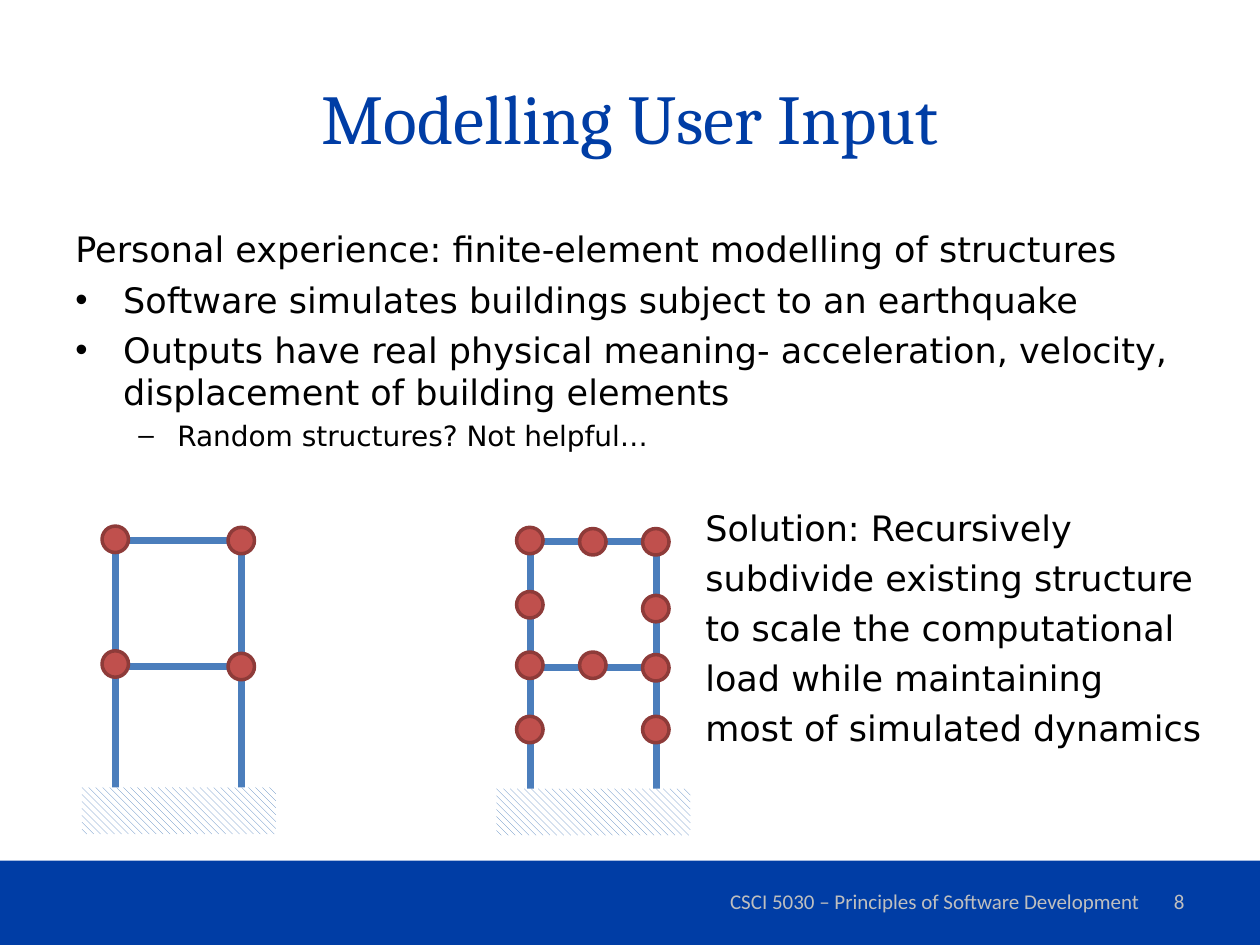
from pptx import Presentation
from pptx.dml.color import RGBColor
from pptx.enum.dml import MSO_PATTERN
from pptx.enum.shapes import MSO_CONNECTOR, MSO_SHAPE
from pptx.enum.text import MSO_ANCHOR, PP_ALIGN
from pptx.oxml.ns import qn
from pptx.util import Inches, Pt
from lxml import etree

BLUE = RGBColor(0x00, 0x3D, 0xA5)
BLACK = RGBColor(0x00, 0x00, 0x00)
WHITE = RGBColor(0xFF, 0xFF, 0xFF)
GREY = RGBColor(0xBF, 0xBF, 0xBF)
BEAM_BLUE = RGBColor(0x4B, 0x7E, 0xBC)
HATCH_BLUE = RGBColor(0x4F, 0x81, 0xBD)
NODE_RED = RGBColor(0xC0, 0x50, 0x4D)
NODE_EDGE = RGBColor(0x8E, 0x3B, 0x39)

BODY_FONT = "DejaVu Sans"
NODE_SIZE = 0.21
BAY = 1.0  # width of the frame and height of each storey


class SlideBuilder:
    def __init__(self, slide):
        self.slide = slide

    def bar(self, left, top, width, height, color):
        shape = self.slide.shapes.add_shape(
            MSO_SHAPE.RECTANGLE, Inches(left), Inches(top), Inches(width), Inches(height))
        shape.shadow.inherit = False
        shape.fill.solid()
        shape.fill.fore_color.rgb = color
        shape.line.fill.background()

    def text_box(self, left, top, width, height, anchor=MSO_ANCHOR.TOP):
        box = self.slide.shapes.add_textbox(
            Inches(left), Inches(top), Inches(width), Inches(height))
        frame = box.text_frame
        frame.word_wrap = True
        frame.vertical_anchor = anchor
        return frame

    def paragraph(self, frame, text, size, font=BODY_FONT, color=BLACK,
                  align=PP_ALIGN.LEFT, bullet=None, margin=0, hanging=0):
        first = not frame.paragraphs[0].runs
        paragraph = frame.paragraphs[0] if first else frame.add_paragraph()
        paragraph.alignment = align
        if not first:
            paragraph.space_before = Pt(round(size * 0.23, 1))
        if bullet:
            properties = paragraph._p.get_or_add_pPr()
            properties.set("marL", str(Inches(margin)))
            properties.set("indent", str(-Inches(hanging)))
            etree.SubElement(properties, qn("a:buFont")).set("typeface", "Arial")
            etree.SubElement(properties, qn("a:buChar")).set("char", bullet)
        run = paragraph.add_run()
        run.text = text
        run.font.size = Pt(size)
        run.font.name = font
        run.font.color.rgb = color

    def label(self, left, top, width, height, text, size, font, color, align):
        frame = self.text_box(left, top, width, height, MSO_ANCHOR.MIDDLE)
        self.paragraph(frame, text, size, font, color, align)

    def beam(self, group, start, end):
        connector = group.shapes.add_connector(
            MSO_CONNECTOR.STRAIGHT, *(Inches(value) for value in (*start, *end)))
        connector.line.color.rgb = BEAM_BLUE
        connector.line.width = Pt(4)
        etree.SubElement(connector._element.spPr, qn("a:effectLst"))

    def ground(self, group, left, top):
        shape = group.shapes.add_shape(
            MSO_SHAPE.RECTANGLE, Inches(left), Inches(top), Inches(1.54), Inches(0.37))
        shape.shadow.inherit = False
        shape.fill.patterned()
        shape.fill.pattern = MSO_PATTERN.WIDE_DOWNWARD_DIAGONAL
        shape.fill.fore_color.rgb = HATCH_BLUE
        shape.fill.back_color.rgb = WHITE
        shape.line.fill.background()

    def node(self, group, left, top):
        shape = group.shapes.add_shape(
            MSO_SHAPE.OVAL, Inches(left), Inches(top), Inches(NODE_SIZE), Inches(NODE_SIZE))
        shape.shadow.inherit = False
        shape.fill.solid()
        shape.fill.fore_color.rgb = NODE_RED
        shape.line.color.rgb = NODE_EDGE
        shape.line.width = Pt(2)

    def building(self, left, top, nodes):
        """Two-storey frame; nodes are (bays across, inches below the top beam)."""
        group = self.slide.shapes.add_group_shape()
        for x in (left, left + BAY):
            for storey in range(2):
                y = top + storey * BAY
                self.beam(group, (x, y + 0.04), (x, y + 0.96))
        for storey in range(2):
            y = top + storey * BAY
            self.beam(group, (left + 0.96, y), (left + 0.04, y))
        self.ground(group, left - 0.27, top + 1.96)
        for across, down in nodes:
            self.node(group, left - 0.11 + across * BAY, top + down - NODE_SIZE / 2)


def main():
    presentation = Presentation()
    presentation.slide_width = Inches(10)
    presentation.slide_height = Inches(7.5)
    builder = SlideBuilder(presentation.slides.add_slide(presentation.slide_layouts[6]))

    # Footer bar and title
    builder.bar(0, 6.83, 10, 0.67, BLUE)
    builder.label(0.5, 0.3, 9, 1.25, "Modelling User Input", 40, "Cambria", BLUE,
                  PP_ALIGN.CENTER)

    # Experience
    body = builder.text_box(0.5, 1.76, 9.17, 1.95)
    builder.paragraph(body, "Personal experience: finite-element modelling of structures", 20)
    for text in (
        "Software simulates buildings subject to an earthquake",
        "Outputs have real physical meaning- acceleration, velocity, "
        "displacement of building elements",
    ):
        builder.paragraph(body, text, 20, bullet="•", margin=0.38, hanging=0.38)
    builder.paragraph(body, "Random structures? Not helpful…", 16,
                      bullet="–", margin=0.81, hanging=0.31)

    # Solution
    solution = builder.text_box(5.5, 3.97, 4.3, 2)
    for text in (
        "Solution: Recursively",
        "subdivide existing structure",
        "to scale the computational",
        "load while maintaining",
        "most of simulated dynamics",
    ):
        builder.paragraph(solution, text, 20)

    # Footer text
    builder.label(5.67, 6.95, 3.5, 0.4, "CSCI 5030 – Principles of Software Development",
                  12, "Calibri", GREY, PP_ALIGN.CENTER)
    builder.label(7.17, 6.95, 2.33, 0.4, "8", 12, "Calibri", GREY, PP_ALIGN.RIGHT)

    # Coarse structure, then the same structure subdivided
    corners = [(0, -0.01), (0, 0.98), (1, 1), (1, 0)]
    midpoints = [(0.5, 0), (0, 0.5), (1, 0.53), (0.5, 0.98), (0, 1.49), (1, 1.49)]
    builder.building(0.92, 4.29, corners)
    builder.building(4.21, 4.3, corners + midpoints)

    presentation.save("out.pptx")


if __name__ == "__main__":
    main()
